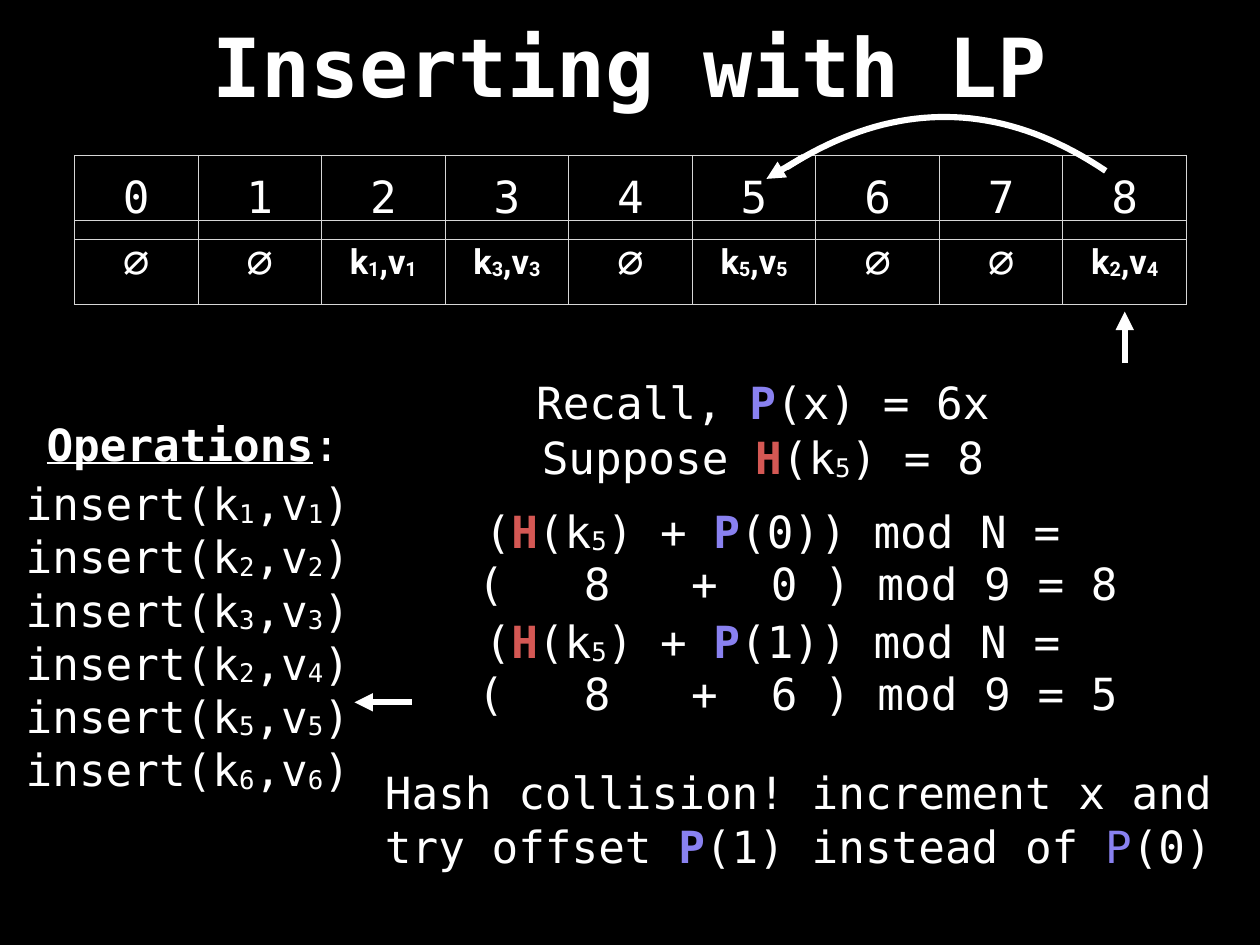
import pptx
import pptx.dml.color
import pptx.enum.shapes
import pptx.enum.text
import pptx.oxml
import pptx.oxml.ns
import pptx.util

WIDTH, HEIGHT = pptx.util.Inches(14.22), pptx.util.Inches(10.67)
COLUMN, ROW = WIDTH / 100, HEIGHT / 100
INSET = pptx.util.Inches(0.06)
COLORS = {"back": "000000", "text": "FFFFFF", "grid": "D6D6D6", "hash": "D45854", "probe": "8981F0"}
MONO = {"name": "DejaVu Sans Mono", "size": pptx.util.Pt(36), "bold": False}
TITLE = {**MONO, "size": pptx.util.Pt(66.2), "bold": True}
ENTRY = {"name": "Roboto", "size": pptx.util.Pt(28), "bold": True}
STYLES = {
    "plain": {},
    "sub": {},
    "heading": {"bold": True, "underline": True},
    "hash": {"bold": True},
    "probe": {"bold": True},
    "light probe": {},
}
ALIGN = pptx.enum.text.PP_ALIGN
ANCHOR = pptx.enum.text.MSO_ANCHOR
FRAME = {"margin_left": INSET, "margin_right": INSET, "margin_top": INSET, "margin_bottom": INSET}
PROBES = [(0, 0, 8), (1, 6, 5)]
INSERTS = [(1, 1), (2, 2), (3, 3), (2, 4), (5, 5), (6, 6)]
ENTRIES = {2: (1, 1), 3: (3, 3), 5: (5, 5), 8: (2, 4)}
SLOTS = 9


def apply(target, values):
    """Set every attribute named in a dict of format values."""
    for name, value in values.items():
        setattr(target, name, value)


def color(name):
    """Return a palette colour."""
    return pptx.dml.color.RGBColor.from_string(COLORS[name])


def at(x, y):
    """Turn grid columns and rows into slide units."""
    return round(x * COLUMN), round(y * ROW)


def plain(text):
    """Return one unstyled line."""
    return [(text, "plain")]


def pair(key, value):
    """Return the spans of a key and value with subscripts."""
    return [("k", "plain"), (str(key), "sub"), (",v", "plain"), (str(value), "sub")]


def write(para, spans, base):
    """Write styled spans into a paragraph."""
    for text, style in spans:
        span = para.add_run()
        span.text = text
        apply(span.font, {**base, **STYLES[style]})
        ink = style.split()[-1]
        span.font.color.rgb = color(ink if ink in COLORS else "text")
        if style == "sub":
            span.font._element.set("baseline", "-6000")


def add_text(page, box, lines, base=MONO, align=ALIGN.LEFT, anchor=ANCHOR.MIDDLE, wrap=False, tabs=()):
    """Add a text box with one paragraph per line."""
    left, top, width, height = box
    frame = page.shapes.add_textbox(*at(left, top), *at(width, height)).text_frame
    apply(frame, {**FRAME, "word_wrap": wrap, "vertical_anchor": anchor})
    for index, spans in enumerate(lines):
        para = frame.add_paragraph() if index else frame.paragraphs[0]
        para.alignment = align
        if tabs:
            stops = pptx.oxml.ns.qn("a:tabLst")
            holder = para._p.get_or_add_pPr().makeelement(stops, {})
            para._p.get_or_add_pPr().append(holder)
            for stop in tabs:
                tab = holder.makeelement(pptx.oxml.ns.qn("a:tab"), {"pos": str(pptx.util.Inches(stop)), "algn": "l"})
                holder.append(tab)
        write(para, spans, base)


def add_arrow(page, start, end):
    """Add a thick straight arrow."""
    arrow = page.shapes.add_connector(pptx.enum.shapes.MSO_CONNECTOR.STRAIGHT, *at(*start), *at(*end))
    arrow.line.width = pptx.util.Pt(5)
    arrow.line.color.rgb = color("text")
    line = arrow.line._get_or_add_ln()
    line.append(line.makeelement(pptx.oxml.ns.qn("a:tailEnd"), {"type": "triangle"}))
    shape = arrow._element.spPr
    shape.append(shape.makeelement(pptx.oxml.ns.qn("a:effectLst"), {}))


def add_curve(page, knots):
    """Add an open cubic curve through its end knots."""
    steps = 40
    points = []
    for step in range(steps + 1):
        t = step / steps
        weights = ((1 - t) ** 3, 3 * t * (1 - t) ** 2, 3 * t * t * (1 - t), t ** 3)
        points.append(at(*(sum(w * knot[axis] for w, knot in zip(weights, knots)) for axis in (0, 1))))
    builder = page.shapes.build_freeform(*points[0])
    builder.add_line_segments(points[1:], close=False)
    curve = builder.convert_to_shape()
    curve.shadow.inherit = False
    curve.fill.background()
    curve.line.width = pptx.util.Pt(5)
    curve.line.color.rgb = color("text")


def add_strip(page, box, cells):
    """Add a one-row outlined table from spans and their formats."""
    left, top, width, height = box
    table = page.shapes.add_table(1, SLOTS, *at(left, top), *at(width, height)).table
    apply(table, {"first_row": False, "horz_banding": False})
    for column, (cell, (spans, base)) in enumerate(zip(table.rows[0].cells, cells)):
        table.columns[column].width = round(width * COLUMN / SLOTS)
        apply(cell, {**FRAME, "vertical_anchor": ANCHOR.MIDDLE})
        props = cell._tc.get_or_add_tcPr()
        for side in "LRTB":
            props.append(pptx.oxml.parse_xml(
                f'<a:ln{side} xmlns:a="http://schemas.openxmlformats.org/drawingml/2006/main" w="12700">'
                f'<a:solidFill><a:srgbClr val="{COLORS["grid"]}"/></a:solidFill></a:ln{side}>'))
        cell.fill.background()
        para = cell.text_frame.paragraphs[0]
        para.alignment = ALIGN.CENTER
        write(para, spans, base)


def add_hash_table(page, box):
    """Draw slot numbers, stored entries and the probe marks."""
    left, top, width, height = box
    entries = [(pair(*ENTRIES[slot]), ENTRY) if slot in ENTRIES else (plain("∅"), MONO) for slot in range(SLOTS)]
    add_strip(page, (left, top + 6.84, width, height), entries)
    add_strip(page, box, [(plain(str(slot)), MONO) for slot in range(SLOTS)])
    middle = left + width * (SLOTS - 0.5) / SLOTS
    add_arrow(page, (middle, top + 21.94), (middle, top + 16.5))
    knots = [(56.54, 1.22), (65.05, -5.99), (73.49, -5.9), (81.85, 1.6)]
    add_curve(page, [(left + x, top + y) for x, y in knots])
    add_arrow(page, (left + 57.87, top + 0.1), (left + 54.92, top + 2.44))


def add_operations(page, box):
    """List the insert operations and point at the current one."""
    left, top, width, height = box
    add_text(page, (left + 1.62, top, 24.19, 6.37), [[("Operations", "heading"), (":", "plain")]], align=ALIGN.CENTER)
    lines = [plain("insert(") + pair(*entry) + plain(")") for entry in INSERTS]
    add_text(page, (left, top + 6.09, width, height - 6.09), lines, anchor=ANCHOR.TOP)
    add_arrow(page, (left + 31.08, top + 30.55), (left + 26.51, top + 30.55))


def add_probing(page, box):
    """Show the functions and each probe worked out."""
    left, top, width, height = box
    hashed = [("H", "hash"), ("(k", "plain"), ("5", "sub")]
    recall = plain("Recall, ") + [("P", "probe"), ("(x) = 6x", "plain")]
    suppose = plain("Suppose ") + hashed + plain(") = 8")
    add_text(page, (left + 4.64, top, 36.85, height), [recall], align=ALIGN.CENTER)
    add_text(page, (left + 4.99, top + 5.81, 36.15, height), [suppose], align=ALIGN.CENTER)
    for index, (x, offset, slot) in enumerate(PROBES):
        y = top + 13.4 + index * 11.67
        formula = plain("(") + hashed + plain(") + ") + [("P", "probe"), (f"({x})) mod N =", "plain")]
        add_text(page, (left + 0.56, y, 48.87, height), [formula], anchor=ANCHOR.TOP)
        values = plain(f"(\t8\t+\t{offset} ) mod 9 = {slot}")
        add_text(page, (left, y + 5.72, width, height), [values], wrap=True, tabs=(1.2, 2.41, 3.31))


def add_note(page, box):
    """Explain the collision."""
    note = plain("Hash collision! increment x and try offset ") + [("P", "probe"), ("(1) instead of ", "plain")]
    note += [("P", "light probe"), ("(0)", "plain")]
    add_text(page, box, [note], align=ALIGN.CENTER, wrap=True)


def main():
    """Build and save the slide."""
    deck = pptx.Presentation()
    apply(deck, {"slide_width": WIDTH, "slide_height": HEIGHT})
    page = deck.slides.add_slide(deck.slide_layouts[6])
    page.background.fill.solid()
    page.background.fill.fore_color.rgb = color("back")
    add_text(page, (0, 0.75, 100, 12.18), [plain("Inserting with LP")], TITLE, ALIGN.CENTER, wrap=True)
    add_hash_table(page, (5.91, 16.49, 88.26, 8.9))
    add_operations(page, (1.62, 43.77, 29.11, 39.17))
    add_probing(page, (37.48, 39.36, 53, 6.37))
    add_note(page, (27.71, 80.79, 71.31, 11.72))
    deck.save("out.pptx")


if __name__ == "__main__":
    main()
